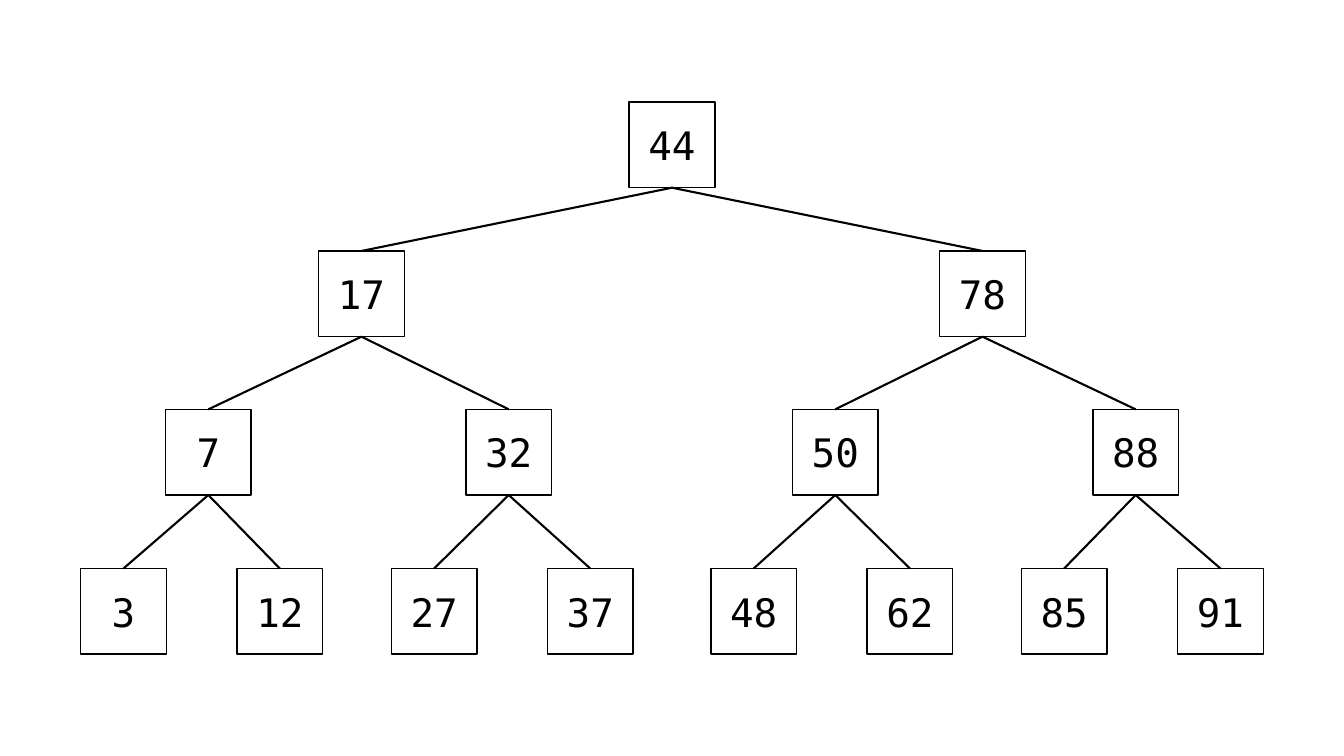
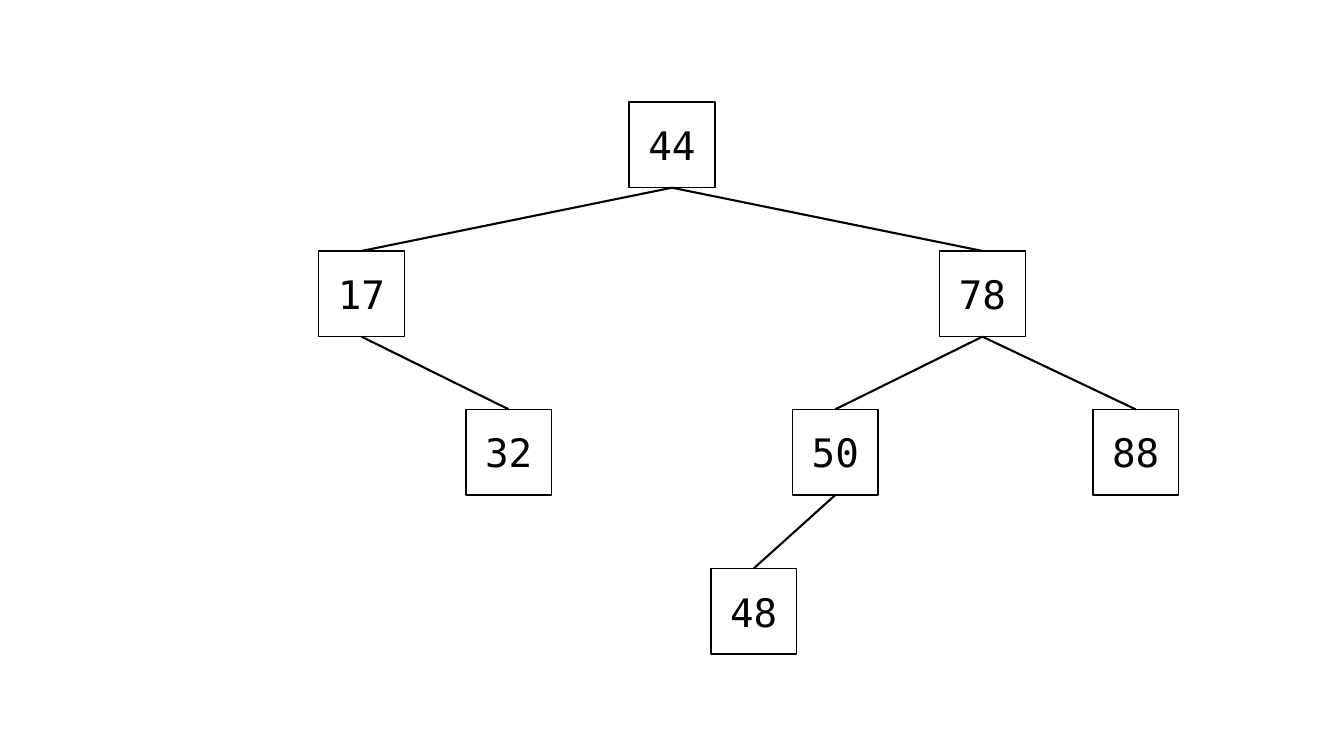
"""Draw a full binary search tree and a pruned version of it, one per slide."""
from dataclasses import dataclass

from pptx import Presentation, util as u
from pptx.dml.color import RGBColor
from pptx.enum import shapes as kinds, text
from pptx.oxml.ns import qn
from pptx.shapes.autoshape import Shape
from pptx.shapes.shapetree import GroupShapes, SlideShapes
from lxml import etree

Canvas = SlideShapes | GroupShapes


@dataclass(frozen=True)
class Theme:
    width: int = u.Inches(13.33)
    height: int = u.Inches(7.5)
    box_side: int = u.Inches(0.85)
    ink: RGBColor = RGBColor(0, 0, 0)
    paper: RGBColor = RGBColor(255, 255, 255)
    font: str = "DejaVu Sans Mono"
    key_size: int = u.Pt(28)
    box_line: int = u.Pt(1)
    edge_line: int = u.Pt(1.5)

    def x(self, percent: float) -> int:
        return round(self.width * percent / 100)

    def y(self, percent: float) -> int:
        return round(self.height * percent / 100)


@dataclass(frozen=True)
class Level:
    """One row of the tree: its top and its distances from the centre, in percent."""
    top: float
    spread: tuple[float, ...]
    keys: tuple[int, ...]

    def centers(self) -> list[float]:
        left = [50 - offset for offset in reversed(self.spread)]
        right = [50 + offset for offset in self.spread if offset]
        return left + right


@dataclass(frozen=True)
class Tree:
    pruned: frozenset[int] = frozenset()
    grouped: bool = False


THEME = Theme()
LEVELS = (
    Level(13.5, (0,), (44,)),
    Level(33.2, (23.1,), (17, 78)),
    Level(54.15, (12.15, 34.5), (7, 32, 50, 88)),
    Level(75.2, (6.08, 17.7, 29.18, 40.81), (3, 12, 27, 37, 48, 62, 85, 91)),
)
TREES = (
    Tree(),
    Tree(pruned=frozenset({7, 3, 12, 27, 37, 62, 85, 91}), grouped=True),
)
BOTTOM, TOP = 2, 0


def apply(target: object, values: dict[str, object]) -> None:
    for attribute, value in values.items():
        setattr(target, attribute, value)


def add_node(canvas: Canvas, key: int, center: float, top: float) -> Shape:
    side = THEME.box_side
    node = canvas.add_shape(kinds.MSO_SHAPE.RECTANGLE,
                            THEME.x(center) - side // 2, THEME.y(top), side, side)
    node.shadow.inherit = False
    node.fill.background()
    node.line.color.rgb = THEME.ink
    node.line.width = THEME.box_line
    node.text_frame.vertical_anchor = text.MSO_ANCHOR.MIDDLE
    paragraph = node.text_frame.paragraphs[0]
    paragraph.alignment = text.PP_ALIGN.CENTER
    label = paragraph.add_run()
    label.text = str(key)
    apply(label.font, {"name": THEME.font, "size": THEME.key_size})
    label.font.color.rgb = THEME.ink
    return node


def add_edge(canvas: Canvas, parent: Shape, child: Shape) -> None:
    half = THEME.box_side // 2
    edge = canvas.add_connector(kinds.MSO_CONNECTOR.STRAIGHT,
                                parent.left + half, parent.top + parent.height,
                                child.left + half, child.top)
    edge.begin_connect(parent, BOTTOM)
    edge.end_connect(child, TOP)
    edge.line.color.rgb = THEME.ink
    edge.line.width = THEME.edge_line
    etree.SubElement(edge._element.spPr, qn("a:effectLst"))


def draw_tree(canvas: Canvas, tree: Tree) -> None:
    nodes = {
        (depth, place): add_node(canvas, key, center, level.top)
        for depth, level in enumerate(LEVELS)
        for place, (key, center) in enumerate(zip(level.keys, level.centers()))
        if key not in tree.pruned
    }
    for (depth, place), child in nodes.items():
        if depth:
            add_edge(canvas, nodes[depth - 1, place // 2], child)


def main() -> None:
    deck = Presentation()
    apply(deck, {"slide_width": THEME.width, "slide_height": THEME.height})
    for tree in TREES:
        slide = deck.slides.add_slide(deck.slide_layouts[6])
        slide.background.fill.solid()
        slide.background.fill.fore_color.rgb = THEME.paper
        canvas = slide.shapes.add_group_shape().shapes if tree.grouped else slide.shapes
        draw_tree(canvas, tree)
    deck.save("out.pptx")


if __name__ == "__main__":
    main()
